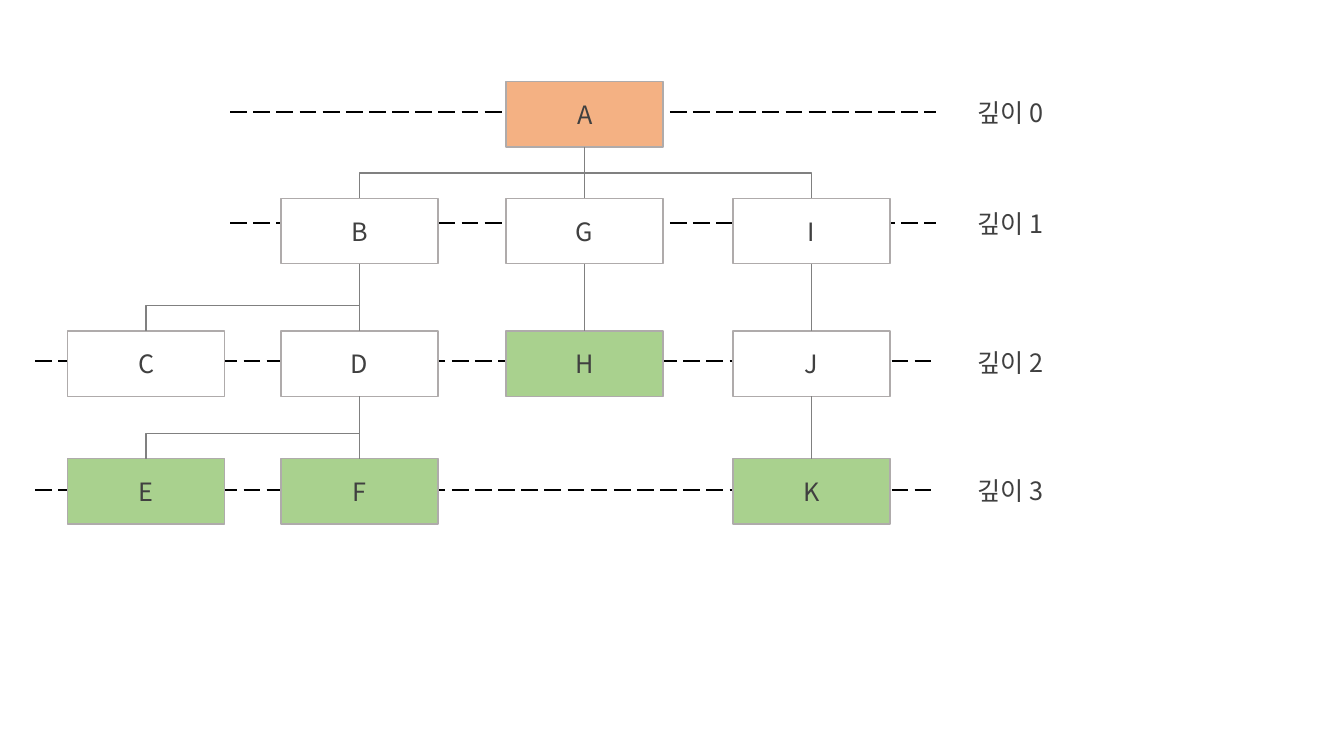
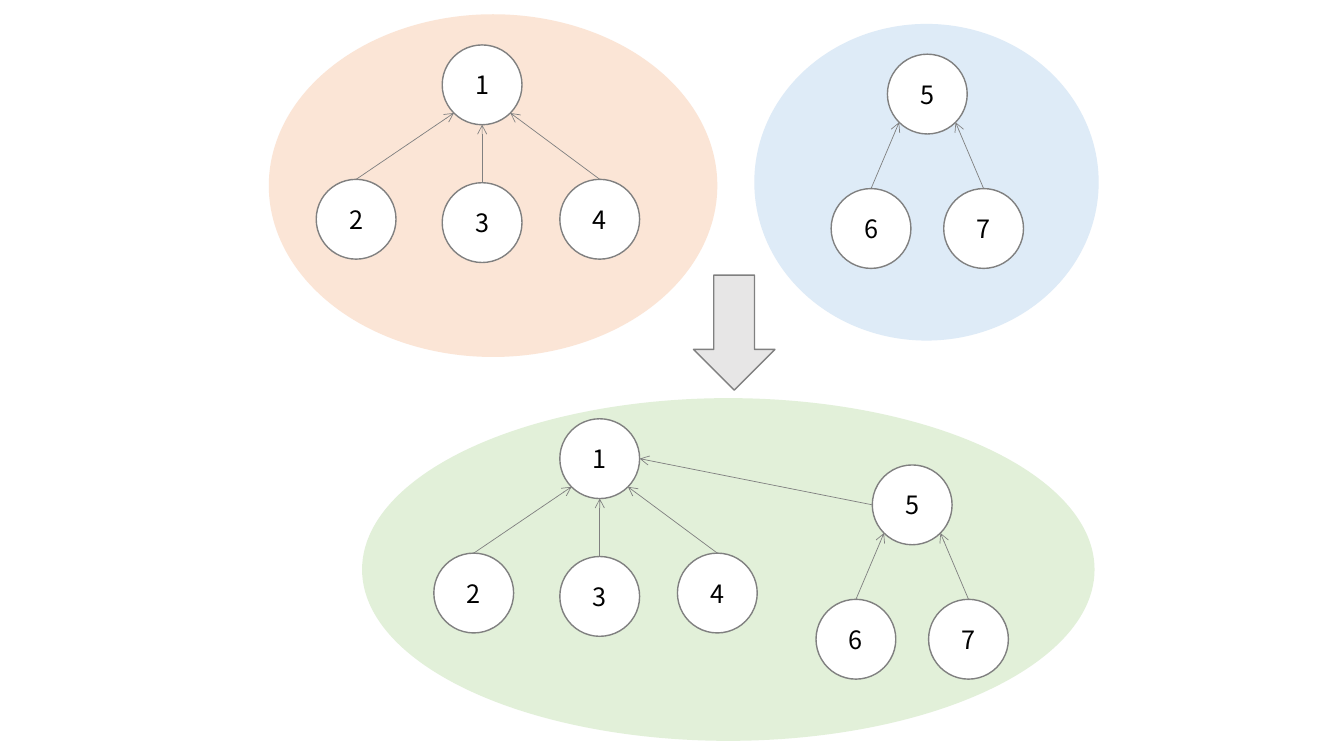
from dataclasses import dataclass
from math import copysign, sqrt

from lxml.etree import SubElement
from pptx import Presentation
from pptx.dml.color import RGBColor
from pptx.enum.dml import MSO_LINE
from pptx.enum.shapes import MSO_CONNECTOR, MSO_SHAPE
from pptx.enum.text import MSO_ANCHOR, PP_ALIGN
from pptx.oxml.ns import qn
from pptx.util import Inches, Pt


@dataclass(frozen=True)
class Theme:
    face: str = "Noto Sans CJK KR"
    size: int = 18
    ink: str = "404040"
    black: str = "000000"
    white: str = "FFFFFF"
    gray: str = "808080"
    edge: str = "AFABAB"
    root: str = "F4B183"
    leaf: str = "A9D18E"
    peach: str = "FBE5D6"
    sky: str = "DEEBF7"
    mint: str = "E2F0D9"
    arrow: str = "E7E6E6"
    thin: float = 0.5
    line: float = 1
    bold: float = 1.5


LOOK = Theme()
COLS, ROWS = 16, 9


def assign(item, values):
    for name, value in values.items():
        setattr(item, name, value)


class Deck:
    """Draws on the current slide; lengths are cells of a 16 by 9 grid."""

    def __init__(self):
        self.show = Presentation()
        self.show.slide_width = Inches(13.33)
        self.show.slide_height = Inches(7.5)
        self.slide = None

    def page(self):
        self.slide = self.show.slides.add_slide(self.show.slide_layouts[6])

    def x(self, cols):
        return round(self.show.slide_width * cols / COLS)

    def y(self, rows):
        return round(self.show.slide_height * rows / ROWS)

    def frame(self, mid, size):
        """Turn a centre and a size into left, top, width and height."""
        (x, y), (wide, high) = mid, size
        return (self.x(x - wide / 2), self.y(y - high / 2),
                self.x(wide), self.y(high))

    def letter(self, shape, text, color, wrap=True):
        body = shape.text_frame
        assign(body, {"word_wrap": wrap, "vertical_anchor": MSO_ANCHOR.MIDDLE})
        part = body.paragraphs[0]
        part.alignment = PP_ALIGN.CENTER
        run = part.add_run()
        run.text = text
        assign(run.font, {"name": LOOK.face, "size": Pt(LOOK.size)})
        run.font.color.rgb = RGBColor.from_string(color)
        SubElement(run.font._element, qn("a:ea"), typeface=LOOK.face)

    def shape(self, kind, mid, size, fill, edge=None, text="", ink=LOOK.black):
        shape = self.slide.shapes.add_shape(kind, *self.frame(mid, size))
        shape.shadow.inherit = False
        shape.fill.solid()
        shape.fill.fore_color.rgb = RGBColor.from_string(fill)
        if edge:
            self.stroke(shape.line, edge, LOOK.line)
        else:
            shape.line.fill.background()
        if text:
            self.letter(shape, text, ink)
        return shape

    def label(self, mid, size, text):
        box = self.slide.shapes.add_textbox(*self.frame(mid, size))
        self.letter(box, text, LOOK.ink, wrap=False)

    def stroke(self, line, color, width, dash=None):
        line.color.rgb = RGBColor.from_string(color)
        assign(line, {"width": Pt(width), "dash_style": dash})

    def link(self, start, end, color=LOOK.gray, width=LOOK.line, dash=None,
             head=False, kind=MSO_CONNECTOR.STRAIGHT):
        line = self.slide.shapes.add_connector(
            kind, self.x(start[0]), self.y(start[1]),
            self.x(end[0]), self.y(end[1]))
        self.stroke(line.line, color, width, dash)
        if head:
            SubElement(line.line._get_or_add_ln(), qn("a:tailEnd"), type="arrow")
        SubElement(line._element.spPr, qn("a:effectLst"))
        return line

    def join(self, top, low, rise):
        """Join a box to the one below, with a bar at rise above the lower."""
        straight = top.left == low.left
        kind = MSO_CONNECTOR.STRAIGHT if straight else MSO_CONNECTOR.ELBOW
        line = self.link((0, 0), (1, 1), kind=kind)
        line.begin_connect(top, 2)
        line.end_connect(low, 0)
        if straight:
            return
        # A drop that starts downwards is a sideways elbow, turned.
        wide, high = low.left - top.left, low.top - top.top - top.height
        midx = top.left + (top.width + wide) // 2
        midy = low.top - high // 2
        assign(line, {"left": midx - high // 2, "top": midy - abs(wide) // 2,
                      "width": high, "height": abs(wide)})
        right = wide > 0
        assign(line._element.spPr.xfrm, {"rot": 270.0 if right else 90.0,
                                         "flipH": right, "flipV": False})
        bar = round(100000 * (1 - self.y(rise) / high))
        guides = line._element.spPr.prstGeom.get_or_add_avLst()
        SubElement(guides, qn("a:gd"), name="adj1", fmla=f"val {bar}")


def depths(deck):
    deck.page()
    levels = [(1.33, 2.74), (2.65, 2.74), (4.30, 0.42), (5.83, 0.42)]
    for depth, (y, left) in enumerate(levels):
        deck.link((left, y), (11.14, y), LOOK.black, LOOK.bold,
                  MSO_LINE.LONG_DASH)
        deck.label((12.03, y + 0.01), (1.12, 0.48), f"깊이 {depth}")

    cols = [1.74, 4.28, 6.96, 9.66]
    rows = [1.36, 2.75, 4.33, 5.85]
    fills = {"A": LOOK.root, **dict.fromkeys("EFHK", LOOK.leaf)}
    boxes = {}
    for y, names in zip(rows, ["  A ", " BGI", "CDHJ", "EF K"]):
        for x, name in zip(cols, names):
            if name != " ":
                boxes[name] = deck.shape(
                    MSO_SHAPE.RECTANGLE, (x, y), (1.87, 0.78),
                    fills.get(name, LOOK.white), LOOK.edge, name, LOOK.ink)
    for top, lows in {"A": "BGI", "B": "CD", "G": "H",
                      "I": "J", "D": "EF", "J": "K"}.items():
        for low in lows:
            deck.join(boxes[top], boxes[low], 0.3)


NODE = 0.95
TREES = {"1": {"2": (-1.5, 1.6), "3": (0, 1.64), "4": (1.4, 1.6)},
         "5": {"6": (-0.67, 1.6), "7": (0.67, 1.6)}}


def node(deck, mid, name):
    deck.shape(MSO_SHAPE.OVAL, mid, (NODE, NODE), LOOK.white, LOOK.gray, name)


def tree(deck, root, mid):
    """Draw a root and its children, each pointing at the root's rim."""
    x, y = mid
    node(deck, mid, root)
    for name, (dx, dy) in TREES[root].items():
        node(deck, (x + dx, y + dy), name)
        slant = NODE / 2 / sqrt(2)
        rim = (copysign(slant, dx), slant) if dx else (0, NODE / 2)
        deck.link((x + dx, y + dy - NODE / 2), (x + rim[0], y + rim[1]),
                  width=LOOK.thin, head=True)


def union(deck):
    deck.page()
    sets = [((5.87, 2.21), (5.34, 4.08), LOOK.peach, {"1": (5.74, 1.01)}),
            ((11.03, 2.17), (4.1, 3.77), LOOK.sky, {"5": (11.04, 1.12)}),
            ((8.67, 6.78), (8.72, 4.08), LOOK.mint,
             {"1": (7.14, 5.46), "5": (10.86, 6.01)})]
    for mid, size, fill, roots in sets:
        deck.shape(MSO_SHAPE.OVAL, mid, size, fill)
        for root, spot in roots.items():
            tree(deck, root, spot)
    (ax, ay), (bx, by) = roots["1"], roots["5"]
    deck.link((bx - NODE / 2, by), (ax + NODE / 2, ay),
              width=LOOK.thin, head=True)
    deck.shape(MSO_SHAPE.DOWN_ARROW, (8.74, 3.96), (0.97, 1.37),
               LOOK.arrow, LOOK.gray)


def main():
    deck = Deck()
    depths(deck)
    union(deck)
    deck.show.save("out.pptx")


if __name__ == "__main__":
    main()
